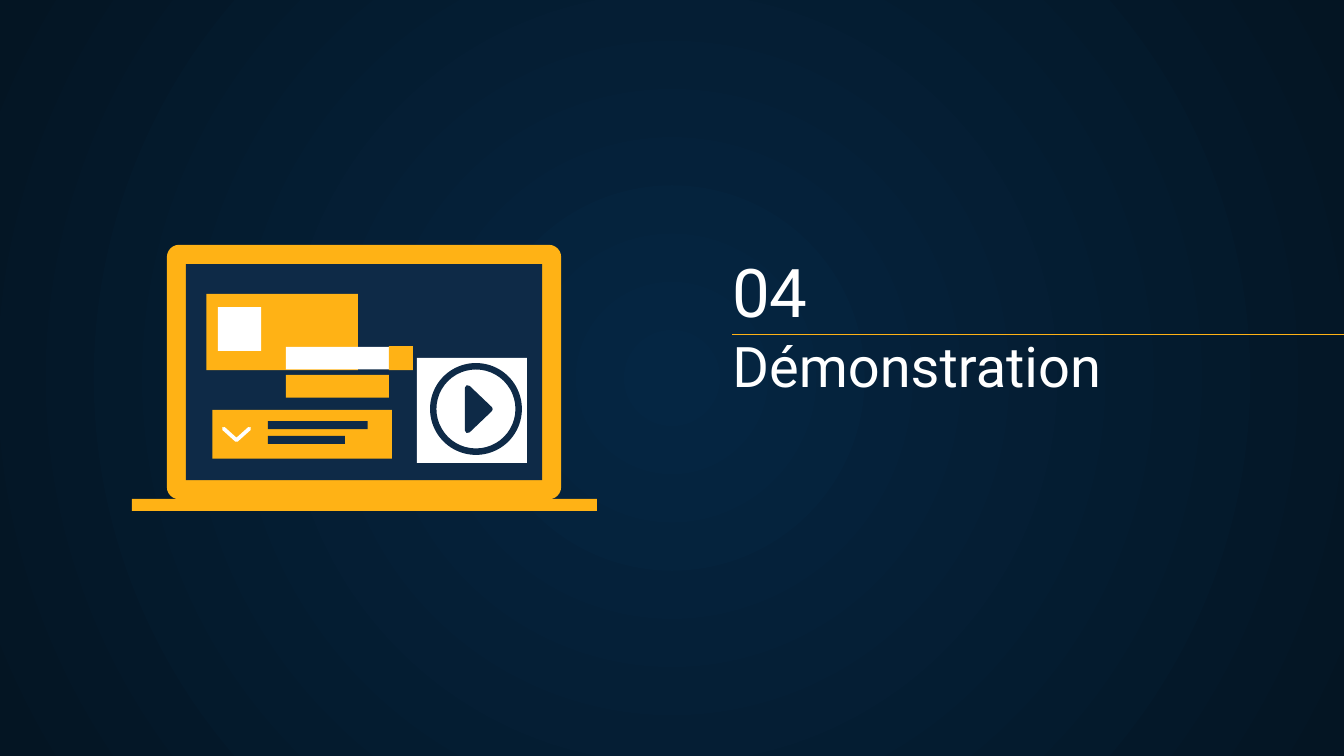
from pptx import Presentation
from pptx.dml.color import RGBColor
from pptx.enum.shapes import MSO_CONNECTOR, MSO_SHAPE
from pptx.enum.text import MSO_ANCHOR, MSO_AUTO_SIZE, PP_ALIGN
from pptx.oxml import parse_xml
from pptx.oxml.ns import nsdecls, qn
from pptx.util import Pt

# Content
NUMBER = "04"
TITLE = "Démonstration"

THEME = {
    "font": "Roboto", "number_size": 36, "title_size": 30,
    "text": "FFFFFF", "white": "FFFFFF", "amber": "FFB215", "navy": "0E2A47",
    "glow": "052643", "edge": "041523", "hairline": 0.75,
}
SLIDE_SIZE = (720, 405)
NUMBER_BOX = (385.2, 136.8, 278, 47.5)
TITLE_BOX = (385.2, 184.3, 329.8, 36.7)
RULE = (392.2, 179.2, SLIDE_SIZE[0], 179.2)

# Laptop parts, back to front: preset, colour, (left, top, width, height), adjustment
PLAIN = MSO_SHAPE.RECTANGLE
LAPTOP = [
    (MSO_SHAPE.ROUNDED_RECTANGLE, "amber", (89.4, 131.2, 211.2, 136.3), 0.048),  # lid
    (PLAIN, "navy", (99.6, 141.5, 190.8, 115.7), None),   # screen
    (PLAIN, "amber", (70.7, 267.3, 249.1, 6.4), None),    # base
    (PLAIN, "amber", (110.5, 157.5, 81.2, 40.8), None),   # card
    (PLAIN, "white", (116.8, 164.5, 23.2, 23.5), None),   # thumbnail
    (PLAIN, "amber", (113.8, 219.6, 96.2, 26.2), None),   # list panel
    (PLAIN, "navy", (143.5, 225.6, 53.5, 4.3), None),     # long text line
    (PLAIN, "navy", (143.5, 233.5, 41.3, 4.3), None),     # short text line
    (PLAIN, "amber", (153.2, 200.9, 55.2, 12.2), None),   # result bar
    (PLAIN, "white", (153.2, 185.9, 55.2, 12), None),     # search field
    (PLAIN, "amber", (208.4, 185.5, 12.8, 12.8), None),   # search button
    (PLAIN, "white", (223.4, 191.8, 58.9, 56.2), None),   # player
    (MSO_SHAPE.DONUT, "navy", (230.4, 194.5, 49.2, 49.2), 0.07),  # play ring
]
# Round-cornered icons: points, closed, colour, stroke width
ICONS = [
    ([(119.8, 229.6), (126.7, 235.8), (133.6, 229.6)], False, "white", 2),
    ([(250.5, 207.8), (262.5, 219.2), (250.5, 230.6)], True, "navy", 3),
]


def colour(name):
    return RGBColor.from_string(THEME[name])


def points(values):
    return [Pt(value) for value in values]


def apply_format(target, values):
    for name, value in values.items():
        setattr(target, name, value)


def paint_background(page):
    fill = page.background.fill
    fill.gradient()
    for stop, name in zip(fill.gradient_stops, ("glow", "edge")):
        stop.color.rgb = colour(name)
    gradient = page.element.find(".//" + qn("a:gradFill"))
    gradient.replace(gradient.find(qn("a:lin")), parse_xml(
        f'<a:path {nsdecls("a")} path="circle">'
        '<a:fillToRect l="50000" t="50000" r="50000" b="50000"/></a:path>'))


def write_text(box, text, place, size):
    apply_format(box, dict(zip(("left", "top", "width", "height"), points(place))))
    frame = box.text_frame
    apply_format(frame, {
        "text": text, "word_wrap": True, "auto_size": MSO_AUTO_SIZE.NONE,
        "vertical_anchor": MSO_ANCHOR.BOTTOM,
        **{f"margin_{side}": Pt(7.2) for side in ("left", "top", "right", "bottom")},
    })
    para = frame.paragraphs[0]
    para.alignment = PP_ALIGN.LEFT
    font = para.runs[0].font
    apply_format(font, {"name": THEME["font"], "size": Pt(THEME[size])})
    font.color.rgb = colour("text")


def draw_part(page, preset, name, place, adjustment):
    shape = page.shapes.add_shape(preset, *points(place))
    shape.shadow.inherit = False
    shape.fill.solid()
    shape.fill.fore_color.rgb = colour(name)
    shape.line.fill.background()
    if adjustment is not None:
        shape.adjustments[0] = adjustment


def draw_icon(page, corners, closed, name, stroke):
    start, *rest = [points(corner) for corner in corners]
    builder = page.shapes.build_freeform(*start)
    builder.add_line_segments(rest, close=closed)
    icon = builder.convert_to_shape()
    icon.shadow.inherit = False
    if closed:
        icon.fill.solid()
        icon.fill.fore_color.rgb = colour(name)
    else:
        icon.fill.background()
    icon.line.color.rgb = colour(name)
    icon.line.width = Pt(stroke)
    outline = icon.element.spPr.find(qn("a:ln"))
    outline.set("cap", "rnd")
    outline.append(parse_xml(f'<a:round {nsdecls("a")}/>'))


def draw_rule(page):
    rule = page.shapes.add_connector(MSO_CONNECTOR.STRAIGHT, *points(RULE))
    rule.line.color.rgb = colour("amber")
    rule.line.width = Pt(THEME["hairline"])
    rule.element.spPr.append(parse_xml(f'<a:effectLst {nsdecls("a")}/>'))


def main():
    deck = Presentation()
    deck.slide_width, deck.slide_height = points(SLIDE_SIZE)
    page = deck.slides.add_slide(deck.slide_layouts[5])
    paint_background(page)

    # Section heading
    write_text(page.shapes.title, TITLE, TITLE_BOX, "title_size")
    number = page.shapes.add_textbox(*points(NUMBER_BOX))
    write_text(number, NUMBER, NUMBER_BOX, "number_size")
    draw_rule(page)

    # Laptop illustration
    for part in LAPTOP:
        draw_part(page, *part)
    for icon in ICONS:
        draw_icon(page, *icon)

    deck.save("out.pptx")


if __name__ == "__main__":
    main()
